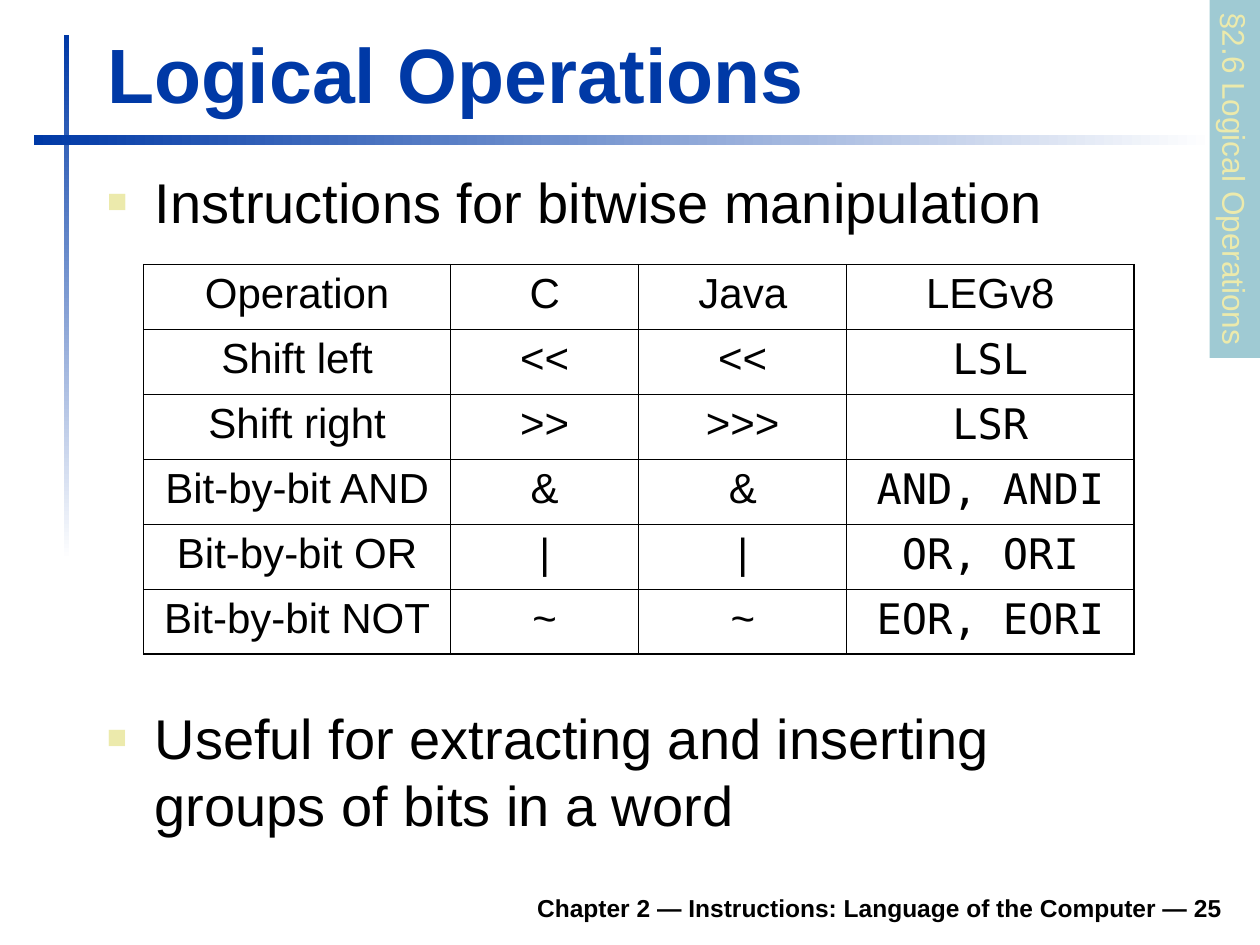
import pptx
import pptx.dml.color
import pptx.enum.shapes
import pptx.enum.text
import pptx.util
from lxml import etree
from pptx.oxml.ns import qn

ALIGN = pptx.enum.text.PP_ALIGN
ANCHOR = pptx.enum.text.MSO_ANCHOR
RECTANGLE = pptx.enum.shapes.MSO_SHAPE.RECTANGLE
rgb = pptx.dml.color.RGBColor.from_string
BLUE, BLACK, WHITE, TEAL, CREAM = "0039A6", "000000", "FFFFFF", "9FCAD3", "ECEAAC"

deck = pptx.Presentation()
deck.slide_width = pptx.util.Inches(10)
deck.slide_height = pptx.util.Inches(7.5)


def area(left, top, width, height):
    """Turn percentages of the slide into left, top, width and height."""
    return [int(deck.slide_width * left / 100), int(deck.slide_height * top / 100),
            int(deck.slide_width * width / 100), int(deck.slide_height * height / 100)]


def write(frame, text, size, color=BLACK, bold=False, name="Arial", align=ALIGN.LEFT, **frame_format):
    """Fill a text frame with one formatted paragraph."""
    for key, value in frame_format.items():
        setattr(frame, key, value)
    frame.text = text
    paragraph = frame.paragraphs[0]
    paragraph.alignment = align
    paragraph.space_before = pptx.util.Pt(0)
    font = paragraph.runs[0].font
    for key, value in {"size": pptx.util.Pt(size), "bold": bold, "name": name}.items():
        setattr(font, key, value)
    font.color.rgb = rgb(color)
    return paragraph


slide = deck.slides.add_slide(deck.slide_layouts[1])

# Crossed rules that fade to white
for place, angle in [((5.1, 3.73, 0.4, 55.6), 270), ((2.7, 14.27, 93.7, 1.07), 0)]:
    rule = slide.shapes.add_shape(RECTANGLE, *area(*place))
    rule.shadow.inherit = False
    rule.line.fill.background()
    rule.fill.gradient()
    rule.fill.gradient_angle = angle
    for stop, color in zip(rule.fill.gradient_stops, (BLUE, WHITE)):
        stop.color.rgb = rgb(color)

# Title and footer
title = slide.shapes.title
title.left, title.top, title.width, title.height = area(7.5, 2.13, 90.3, 11.07)
write(title.text_frame, "Logical Operations", 44, BLUE, True,
      vertical_anchor=ANCHOR.BOTTOM, word_wrap=True)

footer = slide.shapes.add_textbox(*area(18.5, 93.07, 79.5, 5.2))
write(footer.text_frame, "Chapter 2 — Instructions: Language of the Computer — 25", 14, bold=True,
      align=ALIGN.RIGHT, vertical_anchor=ANCHOR.BOTTOM, word_wrap=True)

# Bulleted statements above and below the table
introduction = slide.placeholders[1]
introduction.left, introduction.top, introduction.width, introduction.height = area(7.5, 16.4, 90.4, 10.13)
purpose = slide.shapes.add_textbox(*area(7.5, 73.07, 85, 15.73))
for statement, text in [
    (introduction, "Instructions for bitwise manipulation"),
    (purpose, "Useful for extracting and inserting groups of bits in a word"),
]:
    paragraph = write(statement.text_frame, text, 32, word_wrap=True,
                      vertical_anchor=ANCHOR.TOP, margin_top=pptx.util.Inches(0.1),
                      auto_size=pptx.enum.text.MSO_AUTO_SIZE.NONE)
    properties = paragraph._p.get_or_add_pPr()
    indent = pptx.util.Inches(0.38)
    properties.set("marL", str(indent))
    properties.set("indent", str(-indent))
    bullet_color = etree.SubElement(properties, qn("a:buClr"))
    etree.SubElement(bullet_color, qn("a:srgbClr"), val=CREAM)
    etree.SubElement(properties, qn("a:buSzPct"), val="60000")
    etree.SubElement(properties, qn("a:buFont"), typeface="Arial")
    etree.SubElement(properties, qn("a:buChar"), char="■")

# Operators by language
operations = [
    ("Operation", "C", "Java", "LEGv8"),
    ("Shift left", "<<", "<<", "LSL"),
    ("Shift right", ">>", ">>>", "LSR"),
    ("Bit-by-bit AND", "&", "&", "AND, ANDI"),
    ("Bit-by-bit OR", "|", "|", "OR, ORI"),
    ("Bit-by-bit NOT", "~", "~", "EOR, EORI"),
]
column_shares = (31, 19, 21, 29)
last_row, last_column = len(operations) - 1, len(column_shares) - 1
OUTER, HEADER, INNER = 1.08, 0.75, 0.45

table_frame = slide.shapes.add_table(len(operations), len(column_shares), *area(11.4, 28, 78.6, 41.2))
table = table_frame.table
table.first_row = table.horz_banding = False
table_width = table_frame.width
for column, share in zip(table.columns, column_shares):
    column.width = int(table_width * share / 100)

for r, operation in enumerate(operations):
    for c, text in enumerate(operation):
        cell = table.cell(r, c)
        is_code = r > 0 and c == last_column
        write(cell.text_frame, text, 24, name="DejaVu Sans Mono" if is_code else "Arial", align=ALIGN.CENTER)
        borders = {
            "a:lnL": OUTER if c == 0 else INNER,
            "a:lnR": OUTER if c == last_column else INNER,
            "a:lnT": {0: OUTER, 1: HEADER}.get(r, INNER),
            "a:lnB": {0: HEADER, last_row: OUTER}.get(r, INNER),
        }
        for side, weight in borders.items():
            border = etree.SubElement(cell._tc.get_or_add_tcPr(), qn(side), w=str(pptx.util.Pt(weight)))
            border_fill = etree.SubElement(border, qn("a:solidFill"))
            etree.SubElement(border_fill, qn("a:srgbClr"), val=BLACK)
        cell.fill.background()

# Section tab down the right edge
section = slide.shapes.add_shape(RECTANGLE, *area(83.8, 16.27, 28.4, 5.33))
section.rotation = 90
section.shadow.inherit = False
section.line.fill.background()
section.fill.solid()
section.fill.fore_color.rgb = rgb(TEAL)
write(section.text_frame, "§2.6 Logical Operations", 18, CREAM,
      vertical_anchor=ANCHOR.TOP, word_wrap=False)

deck.save("out.pptx")
